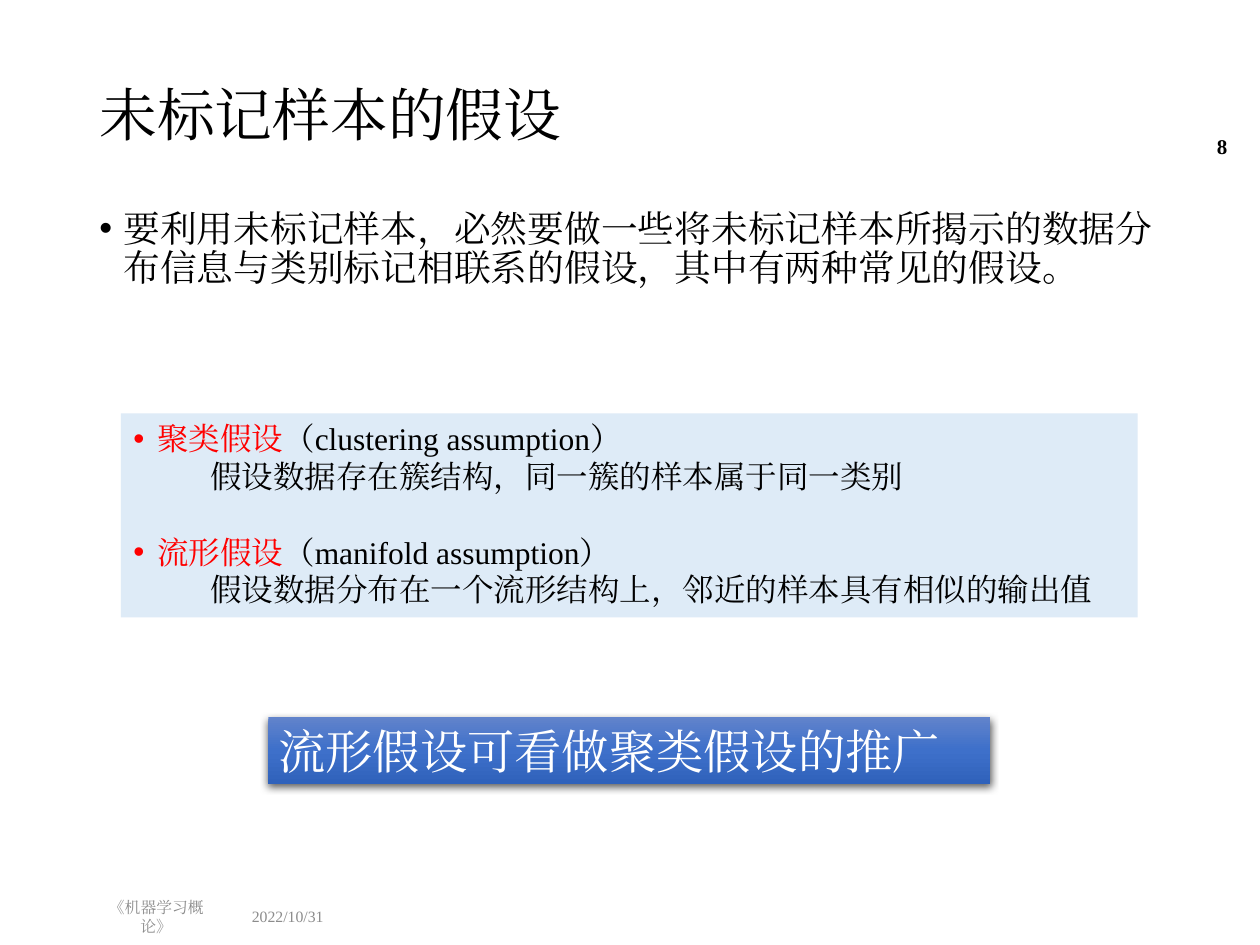
from dataclasses import dataclass

from lxml.etree import SubElement
from pptx import Presentation
from pptx.dml.color import RGBColor
from pptx.enum.shapes import MSO_SHAPE
from pptx.enum.text import MSO_ANCHOR, PP_ALIGN
from pptx.oxml.ns import qn
from pptx.util import Inches, Pt

SERIF, SANS = "Times New Roman", "Noto Sans CJK SC"
BLACK, RED, GREY, WHITE = "000000", "FF0000", "8C8C8C", "FFFFFF"


@dataclass
class Run:
    text: str
    size: float
    color: str = BLACK
    bold: bool = False
    font: str = SERIF


@dataclass
class Para:
    runs: list[Run]
    bullet: bool = False
    indent: float = 0
    before: float = 0
    line: float | None = None
    align: PP_ALIGN = PP_ALIGN.LEFT


@dataclass
class Label:
    box: tuple[float, float, float, float]
    para: Para
    anchor: MSO_ANCHOR = MSO_ANCHOR.MIDDLE


def rgb(code: str) -> RGBColor:
    return RGBColor.from_string(code)


def add_run(para, run: Run) -> None:
    item = para.add_run()
    item.text = run.text
    font = item.font
    font.size, font.bold, font.name = Pt(run.size), run.bold, run.font
    font.color.rgb = rgb(run.color)
    SubElement(font._element, qn("a:ea"), typeface=SERIF)


def fill_text(frame, paras: list[Para], anchor: MSO_ANCHOR) -> None:
    frame.word_wrap = True
    frame.vertical_anchor = anchor
    for i, data in enumerate(paras):
        para = frame.paragraphs[0] if i == 0 else frame.add_paragraph()
        props = para._p.get_or_add_pPr()
        if data.bullet:
            props.set("marL", str(Inches(0.19)))
            props.set("indent", str(-Inches(0.19)))
            SubElement(props, qn("a:buFont"), typeface="Arial")
            SubElement(props, qn("a:buChar"), char="•")
        elif data.indent:
            props.set("marL", str(Inches(data.indent)))
        para.alignment = data.align
        if data.line:
            para.line_spacing = data.line
        if data.before:
            para.space_before = Pt(data.before)
        for run in data.runs:
            add_run(para, run)


def add_label(slide, label: Label) -> None:
    box = slide.shapes.add_textbox(*map(Inches, label.box))
    fill_text(box.text_frame, [label.para], label.anchor)


def add_panel(slide, box: tuple[float, ...], paras: list[Para]):
    panel = slide.shapes.add_shape(MSO_SHAPE.RECTANGLE, *map(Inches, box))
    panel.shadow.inherit = False
    panel.line.fill.background()
    fill_text(panel.text_frame, paras, MSO_ANCHOR.TOP)
    return panel


def add_shade(panel, colors: list[str]) -> None:
    """Give the panel an even top-down gradient and a soft drop shadow."""
    panel.fill.gradient()
    panel.fill.gradient_angle = 270
    props = panel._element.spPr
    stops = props.find(qn("a:gradFill")).find(qn("a:gsLst"))
    for old in list(stops):
        stops.remove(old)
    for i, code in enumerate(colors):
        place = str(100000 * i // (len(colors) - 1))
        stop = SubElement(stops, qn("a:gs"), pos=place)
        SubElement(stop, qn("a:srgbClr"), val=code)
    glow = SubElement(props.find(qn("a:effectLst")), qn("a:outerShdw"),
                      blurRad=str(Pt(4.5)), dist=str(Pt(1.5)),
                      dir="5400000", algn="ctr", rotWithShape="0")
    tint = SubElement(glow, qn("a:srgbClr"), val=BLACK)
    SubElement(tint, qn("a:alpha"), val="63000")


LABELS = [
    Label((0.69, 0.4, 8.62, 1.07),
          Para([Run("未标记样本的假设", 33)], line=0.9)),
    Label((0.69, 1.62, 8.62, 5.39),
          Para([Run("要利用未标记样本，必然要做一些将未标记样本所揭示的数据分"
                    "布信息与类别标记相联系的假设，其中有两种常见的假设。", 21)],
               bullet=True, line=0.9),
          MSO_ANCHOR.TOP),
    Label((1.9, 7.13, 0.91, 0.29), Para([Run("2022/10/31", 9, GREY)])),
    Label((0.69, 7.13, 1.1, 0.29),
          Para([Run("《机器学习概论》", 9, GREY)], align=PP_ALIGN.CENTER)),
    Label((9.15, 0.96, 0.69, 0.4),
          Para([Run("8", 12, bold=True)], align=PP_ALIGN.RIGHT)),
]

IDEAS = [
    ("聚类假设", "（clustering assumption）",
     "假设数据存在簇结构，同一簇的样本属于同一类别"),
    ("流形假设", "（manifold assumption）",
     "假设数据分布在一个流形结构上，邻近的样本具有相似的输出值"),
]


def main() -> None:
    deck = Presentation()
    deck.slide_width, deck.slide_height = Inches(10), Inches(7.5)
    slide = deck.slides.add_slide(deck.slide_layouts[6])

    for label in LABELS:
        add_label(slide, label)

    paras = []
    for i, (name, term, gist) in enumerate(IDEAS):
        paras.append(Para([Run(name, 18, RED), Run(term, 18)],
                          bullet=True, before=21.5 * i))
        paras.append(Para([Run(gist, 18)], indent=0.61))
    ideas = add_panel(slide, (0.96, 3.28, 8.07, 1.62), paras)
    ideas.fill.solid()
    ideas.fill.fore_color.rgb = rgb("DEEBF7")

    claim = Run("流形假设可看做聚类假设的推广", 27, WHITE, font=SANS)
    banner = add_panel(slide, (2.13, 5.69, 5.73, 0.53), [Para([claim])])
    add_shade(banner, ["6183CB", "3E70CA", "3062BB"])
    frame = banner.text_frame
    frame.margin_left = frame.margin_right = Inches(0.08)
    frame.margin_top = frame.margin_bottom = Inches(0.04)

    deck.save("out.pptx")


if __name__ == "__main__":
    main()
